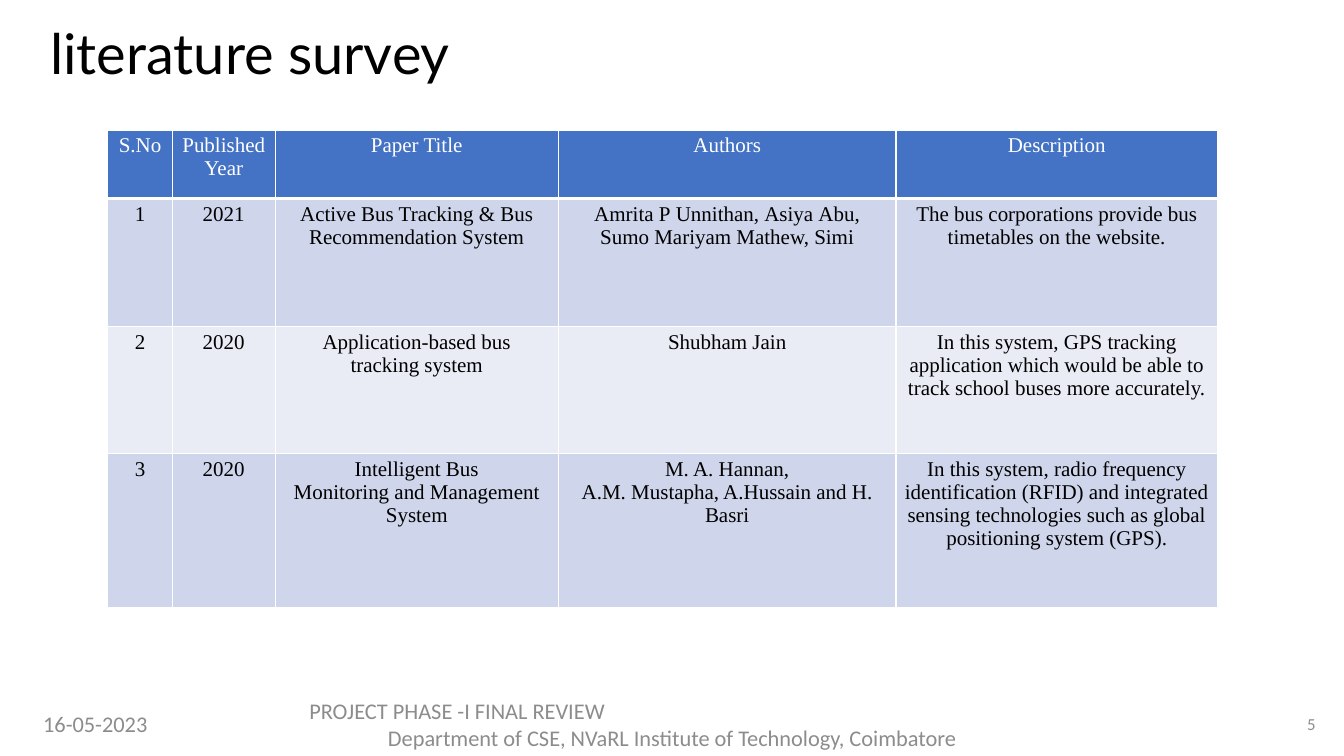
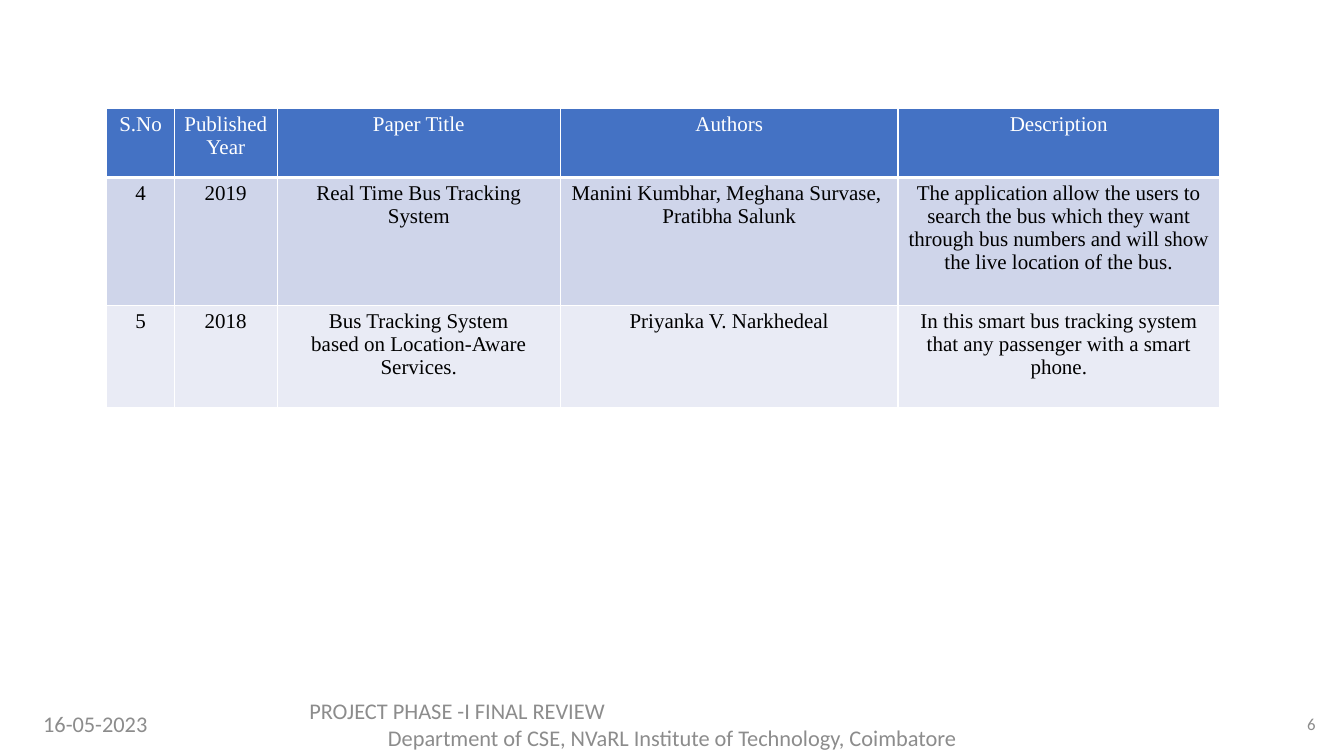
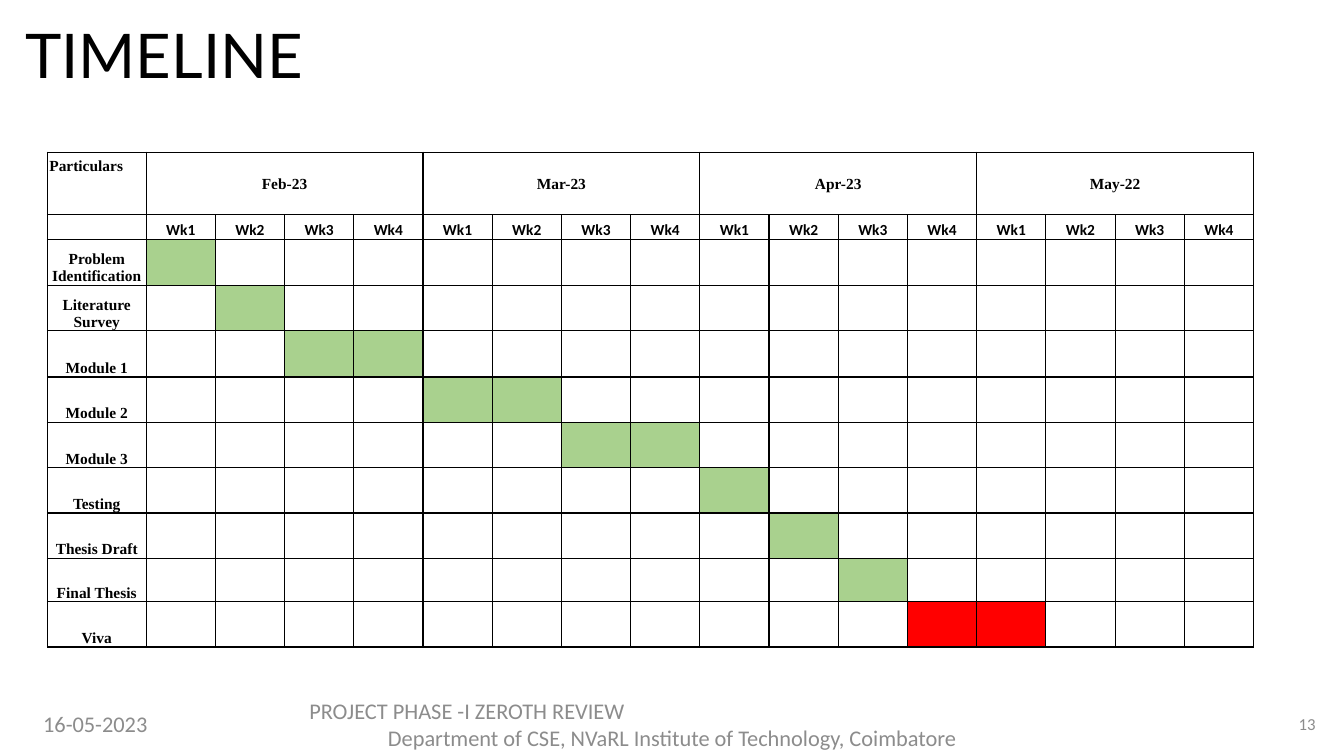
"""Build the literature survey and timeline slides of a project review."""
from lxml import etree
from pptx import Presentation
from pptx import util as u
from pptx.dml.color import RGBColor
from pptx.enum import text as t
from pptx.oxml.ns import qn

UNIT = u.Inches(1) / 3
COLS, ROWS = 40, 22.5

BLACK = RGBColor(0x00, 0x00, 0x00)
WHITE = RGBColor(0xFF, 0xFF, 0xFF)
GREY = RGBColor(0x8C, 0x8C, 0x8C)
BLUE = RGBColor(0x44, 0x72, 0xC4)
BANDS = RGBColor(0xCF, 0xD5, 0xEA), RGBColor(0xE9, 0xEB, 0xF5)
GREEN = RGBColor(0xA9, 0xD1, 0x8E)
RED = RGBColor(0xFF, 0x00, 0x00)

LEFT, MID, RIGHT = t.PP_ALIGN.LEFT, t.PP_ALIGN.CENTER, t.PP_ALIGN.RIGHT
TOP, CENTRE, BASE = t.MSO_ANCHOR.TOP, t.MSO_ANCHOR.MIDDLE, t.MSO_ANCHOR.BOTTOM

SERIF = "Times New Roman"
NOTE = {"name": "Calibri", "size": u.Pt(16)}
PAGE = {"name": "Calibri", "size": u.Pt(12)}
BODY = {"name": SERIF, "size": u.Pt(15)}
TASK = {"name": SERIF, "size": u.Pt(11), "bold": True}
WEEK = {**TASK, "name": "Calibri"}

DATE = "16-05-2023"
SCHOOL = "Department of CSE, NVaRL Institute of Technology, Coimbatore"

HEAD = ["S.No", "Published\nYear", "Paper Title", "Authors", "Description"]
FIRST = [
    ["1", "2021", "Active Bus Tracking & Bus Recommendation System",
     "Amrita P\u00a0Unnithan,\u00a0Asiya\u00a0Abu, Sumo\u00a0Mariyam\u00a0Mathew, Simi",
     "The bus corporations provide bus timetables on the website."],
    ["2", "2020", "Application-based bus\ntracking system", "Shubham\u00a0Jain",
     "In this system, GPS tracking application which would be able to "
     "track school buses more accurately."],
    ["3", "2020", "Intelligent Bus\nMonitoring and Management System",
     "M. A. Hannan,\nA.M.\u00a0Mustapha, A.Hussain and H. Basri",
     "In this system, radio frequency identification (RFID) and integrated "
     "sensing technologies such as global positioning system (GPS)."],
]
SECOND = [
    ["4", "2019", "Real Time Bus Tracking System",
     "Manini\u00a0Kumbhar,\u00a0Meghana\u00a0Survase,\u00a0Pratibha Salunk",
     "The application allow the users to search the bus which they want "
     "through bus numbers and will show the live location of the bus."],
    ["5", "2018", "Bus Tracking System\nbased on Location-Aware Services.",
     "Priyanka V.\u00a0Narkhedeal",
     "In this smart bus tracking system that any passenger with a smart phone."],
]
MONTHS = ["Feb-23", "Mar-23", "Apr-23", "May-22"]
TASKS = [
    ("Problem Identification", 1, 1, GREEN), ("Literature Survey", 2, 2, GREEN),
    ("Module 1", 3, 4, GREEN), ("Module 2", 5, 6, GREEN),
    ("Module 3", 7, 8, GREEN), ("Testing", 9, 9, GREEN),
    ("Thesis Draft", 10, 10, GREEN), ("Final Thesis", 11, 11, GREEN),
    ("Viva", 12, 13, RED),
]


def grid(*spans):
    """Turn grid units into slide lengths."""
    return [u.Emu(round(span * UNIT)) for span in spans]


def put(item, form):
    """Set each attribute named in a format dict."""
    for key, value in form.items():
        setattr(item, key, value)


def ink(frame, font, tint, align):
    """Format every paragraph of a text frame."""
    for para in frame.paragraphs:
        para.alignment = align
        for run in para.runs:
            put(run.font, font)
            run.font.color.rgb = tint


def label(slide, box, words, font, align):
    """Add a grey footer text box."""
    frame = slide.shapes.add_textbox(*grid(*box)).text_frame
    put(frame, {"text": words, "word_wrap": True, "vertical_anchor": CENTRE})
    ink(frame, font, GREY, align)
    return frame


def footer(slide, stage, number):
    """Add the date, review name, school and page number."""
    top, high = 20.94, 1.2
    label(slide, (0.99, top, 4.35, high), DATE, NOTE, LEFT)
    review = f"PROJECT PHASE -I {stage} REVIEW\n{SCHOOL}"
    frame = label(slide, (8.91, top, 22.2, high), review, NOTE, MID)
    frame.paragraphs[0].alignment = LEFT
    label(slide, (37.62, top, 1.83, high), str(number), PAGE, RIGHT)


def title(slide, words, size, top, inset):
    """Place and format the title placeholder."""
    shape = slide.shapes.title
    spots = grid(0.45, top, 34.5, 2.76)
    put(shape, dict(zip(("left", "top", "width", "height"), spots)))
    frame = shape.text_frame
    put(frame, {"text": words, "word_wrap": True, "vertical_anchor": CENTRE,
                "auto_size": t.MSO_AUTO_SIZE.NONE, "margin_left": u.Inches(inset)})
    ink(frame, {"name": "Lato", "size": u.Pt(size)}, BLACK, LEFT)
    frame.paragraphs[0].line_spacing = 0.9


def edge(cell, tint, **widths):
    """Draw the four borders of a cell, one point wide unless given."""
    props = cell._tc.get_or_add_tcPr()
    for side in "LRTB":
        wide = u.Pt(widths.get(side, 1))
        line = etree.SubElement(props, qn(f"a:ln{side}"), w=str(wide))
        fill = etree.SubElement(line, qn("a:solidFill"))
        etree.SubElement(fill, qn("a:srgbClr"), val=str(tint))


def paint(cell, tint):
    """Fill a cell, or clear its fill."""
    if tint is None:
        cell.fill.background()
    else:
        cell.fill.solid()
        cell.fill.fore_color.rgb = tint


def pad(cell, side, top, base):
    """Set the insets of a cell in inches."""
    put(cell, {"margin_left": u.Inches(side), "margin_right": u.Inches(side),
               "margin_top": u.Inches(top), "margin_bottom": u.Inches(base)})


def table(slide, spot, wides, highs):
    """Add an unstyled table with given column and row sizes."""
    box = grid(*spot, sum(wides), sum(highs))
    made = slide.shapes.add_table(len(highs), len(wides), *box).table
    put(made, {"first_row": False, "horz_banding": False})
    for col, wide in zip(made.columns, grid(*wides)):
        col.width = wide
    for row, high in zip(made.rows, grid(*highs)):
        row.height = high
    return made


def survey(slide, spot, first, highs, papers):
    """Add a banded table of papers."""
    made = table(slide, spot, [first, 3.06, 8.43, 10.05, 9.57], highs)
    for r, entry in enumerate([HEAD] + papers):
        fill = BANDS[(r - 1) % 2] if r else BLUE
        rules = {0: {"B": 3}, 1: {"T": 3}}.get(r, {})
        for c, words in enumerate(entry):
            cell = made.cell(r, c)
            cell.text = words
            pad(cell, 0.08, 0.04, 0.04)
            edge(cell, WHITE, **rules)
            paint(cell, fill)
            ink(cell.text_frame, BODY, BLACK if r else WHITE, MID)


def write(cell, words, font, anchor):
    """Write a bold centred schedule entry."""
    put(cell, {"text": words, "vertical_anchor": anchor})
    ink(cell.text_frame, font, BLACK, MID)


def plan(slide):
    """Add the week by week schedule."""
    weeks = 4 * len(MONTHS)
    highs = [1.86, 0.75, 1.35, 1.35, 1.38] + [1.35] * 4 + [1.29, 1.35]
    made = table(slide, (1.41, 4.53), [2.94] + [2.06] * weeks, highs)
    for cell in made.iter_cells():
        pad(cell, 0.01, 0.01, 0)
        edge(cell, BLACK)
        paint(cell, None)
        para = cell.text_frame.paragraphs[0]
        para._p.get_or_add_endParaRPr().set("sz", "1100")
    corner = made.cell(0, 0)
    write(corner, "Particulars", TASK, TOP)
    pad(corner, 0.02, 0.06, 0)
    corner.text_frame.paragraphs[0].alignment = LEFT
    for m, month in enumerate(MONTHS):
        start = 1 + 4 * m
        made.cell(0, start).merge(made.cell(0, start + 3))
        write(made.cell(0, start), month, TASK, CENTRE)
    for w in range(weeks):
        write(made.cell(1, w + 1), f"Wk{w % 4 + 1}", WEEK, BASE)
    for r, (name, start, end, tint) in enumerate(TASKS, 2):
        write(made.cell(r, 0), name, TASK, BASE)
        for c in range(start, end + 1):
            paint(made.cell(r, c), tint)


def main():
    """Build and save the slides."""
    deck = Presentation()
    deck.slide_width, deck.slide_height = grid(COLS, ROWS)
    titled, blank = deck.slide_layouts[5], deck.slide_layouts[6]

    slide = deck.slides.add_slide(titled)
    title(slide, "literature survey", 40, 0.3, 0.35)
    footer(slide, "FINAL", 5)
    survey(slide, (3.21, 3.87), 1.92, [2.04, 3.81, 3.78, 4.59], FIRST)

    slide = deck.slides.add_slide(blank)
    footer(slide, "FINAL", 6)
    survey(slide, (3.18, 3.24), 2.01, [2.04, 3.81, 3.03], SECOND)

    slide = deck.slides.add_slide(titled)
    title(slide, "TIMELINE", 44, 0.36, 0.1)
    footer(slide, "ZEROTH", 13)
    plan(slide)

    deck.save("out.pptx")


main()
